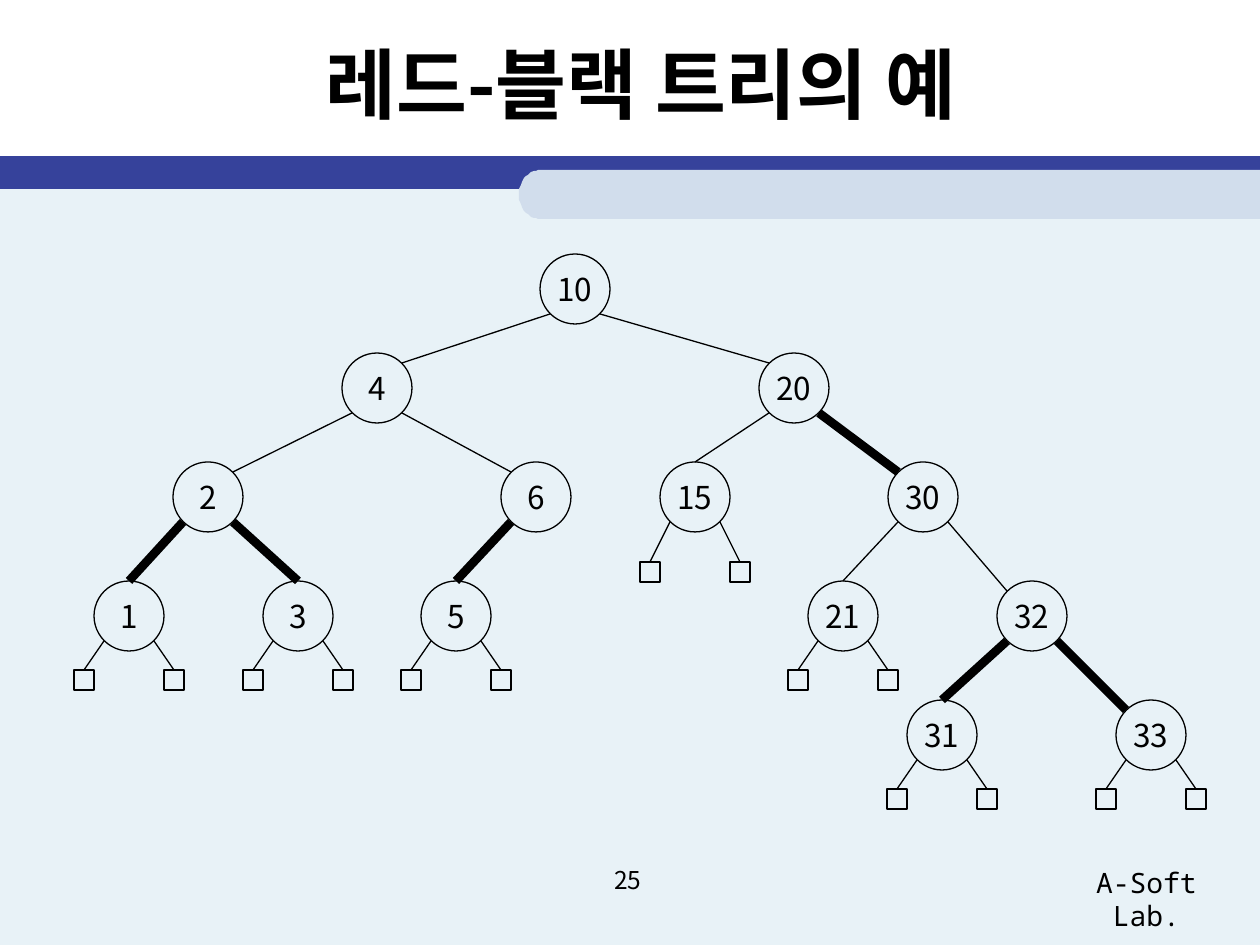
import math

from lxml import etree
from pptx import Presentation
from pptx import util as u
from pptx.dml.color import RGBColor
from pptx.enum import shapes, text
from pptx.oxml.ns import qn

PX = 7257  # EMU per px, 126 px to the inch
SANS, MONO = "Noto Sans CJK KR", "Noto Sans Mono"
COLORS = {"ink": "000000", "body": "E8F2F7", "band": "36429B", "tab": "D1DDEC"}
RADIUS, CORNER = 35, 25  # node radius, and its reach at 45 degrees
LEAF, LEAF_REACH = 20, 45

presentation = Presentation()
presentation.slide_width, presentation.slide_height = u.Inches(10), u.Inches(7.5)
slide = presentation.slides.add_slide(presentation.slide_layouts[5])


def write(shape, words, size, font=SANS, bold=False, wrap=True,
          anchor=text.MSO_ANCHOR.MIDDLE):
    frame = shape.text_frame
    frame.word_wrap, frame.vertical_anchor = wrap, anchor
    frame.auto_size = text.MSO_AUTO_SIZE.NONE
    paragraph = frame.paragraphs[0]
    paragraph.alignment = text.PP_ALIGN.CENTER
    run = paragraph.add_run()
    run.text = words
    run.font.size, run.font.bold, run.font.name = u.Pt(size), bold, font
    run.font.color.rgb = RGBColor.from_string(COLORS["ink"])
    etree.SubElement(run._r.get_or_add_rPr(), qn("a:ea"), typeface=font)
    return paragraph


def add_edge(start, end, child=None, weight=0.75):
    line = slide.shapes.add_connector(
        shapes.MSO_CONNECTOR.STRAIGHT, *(n * PX for n in (*start, *end)))
    line.line.width = u.Pt(weight)
    line.line.color.rgb = RGBColor.from_string(COLORS["ink"])
    etree.SubElement(line._element.spPr, qn("a:effectLst"))
    if child is not None:
        line.end_connect(child, 0)


# Background, band and rounded tab
backdrop = []
for color, top, height in (("body", 176, 769), ("band", 156, 33)):
    shape = slide.shapes.add_shape(
        shapes.MSO_SHAPE.RECTANGLE, 0, top * PX, 1260 * PX, height * PX)
    backdrop.append((shape, color))

arc = [(540 - 21 * math.sin(math.radians(a)), 194.5 - 24.5 * math.cos(math.radians(a)))
       for a in range(0, 181, 6)]
builder = slide.shapes.build_freeform(1260, 170, scale=PX)
builder.add_line_segments([*arc, (1260, 219)], close=True)
backdrop.append((builder.convert_to_shape(), "tab"))

for shape, color in backdrop:
    shape.shadow.inherit = False
    shape.fill.solid()
    shape.fill.fore_color.rgb = RGBColor.from_string(COLORS[color])
    shape.line.fill.background()

# Title, placed in front of the backdrop
title = slide.shapes.title
title.left, title.top, title.width, title.height = (
    n * PX for n in (74, 10, 1134, 145))
write(title, "레드-블랙 트리의 예", 44, bold=True)
slide.shapes._spTree.append(title._element)

# Lab name and page number
lab = slide.shapes.add_textbox(1047 * PX, 859 * PX, 199 * PX, 47 * PX)
paragraph = write(lab, "A-Soft Lab.", 16, MONO, anchor=text.MSO_ANCHOR.TOP)
paragraph.space_before = u.Pt(10)
page = slide.shapes.add_textbox(481 * PX, 859 * PX, 294 * PX, 66 * PX)
write(page, "25", 14, anchor=text.MSO_ANCHOR.TOP)

# Tree nodes: key -> centre
centres = {
    10: (575, 289),
    4: (377, 388), 20: (794, 388),
    2: (208, 497), 6: (536, 497), 15: (695, 497), 30: (923, 497),
    1: (129, 616), 3: (298, 616), 5: (456, 616), 21: (843, 616), 32: (1032, 616),
    31: (942, 735), 33: (1151, 735),
}
nodes = {}
for key, (x, y) in centres.items():
    node = slide.shapes.add_shape(
        shapes.MSO_SHAPE.OVAL, (x - RADIUS) * PX, (y - RADIUS) * PX,
        2 * RADIUS * PX, 2 * RADIUS * PX)
    node.shadow.inherit = False
    node.fill.background()
    node.line.width = u.Pt(0.75)
    node.line.color.rgb = RGBColor.from_string(COLORS["ink"])
    write(node, str(key), 18, wrap=False)
    nodes[key] = node

# Edges: parent, child, joins the child's top, red (thick)
edges = [
    (10, 4, False, False), (10, 20, False, False),
    (4, 2, False, False), (4, 6, False, False),
    (20, 15, True, False), (20, 30, False, True),
    (2, 1, True, True), (2, 3, True, True), (6, 5, True, True),
    (30, 21, True, False), (30, 32, False, False),
    (32, 31, True, True), (32, 33, False, True),
]
for parent, child, at_top, red in edges:
    (px, py), (cx, cy) = centres[parent], centres[child]
    side = 1 if cx > px else -1
    end = (cx, cy - RADIUS) if at_top else (cx - side * CORNER, cy - CORNER)
    add_edge((px + side * CORNER, py + CORNER), end,
             nodes[child] if at_top else None, 5 if red else 0.75)

# External nodes, two under each bottom node
for key in (1, 3, 5, 15, 21, 31, 33):
    x, y = centres[key]
    top = y + (65 if key == 15 else 54)
    for side in (-1, 1):
        leaf_x = x + side * LEAF_REACH
        leaf = slide.shapes.add_shape(
            shapes.MSO_SHAPE.RECTANGLE, (leaf_x - LEAF // 2) * PX, top * PX,
            LEAF * PX, LEAF * PX)
        leaf.shadow.inherit = False
        leaf.fill.background()
        leaf.line.width = u.Pt(0.75)
        leaf.line.color.rgb = RGBColor.from_string(COLORS["ink"])
        add_edge((x + side * CORNER, y + CORNER), (leaf_x, top), leaf)

presentation.save("out.pptx")
